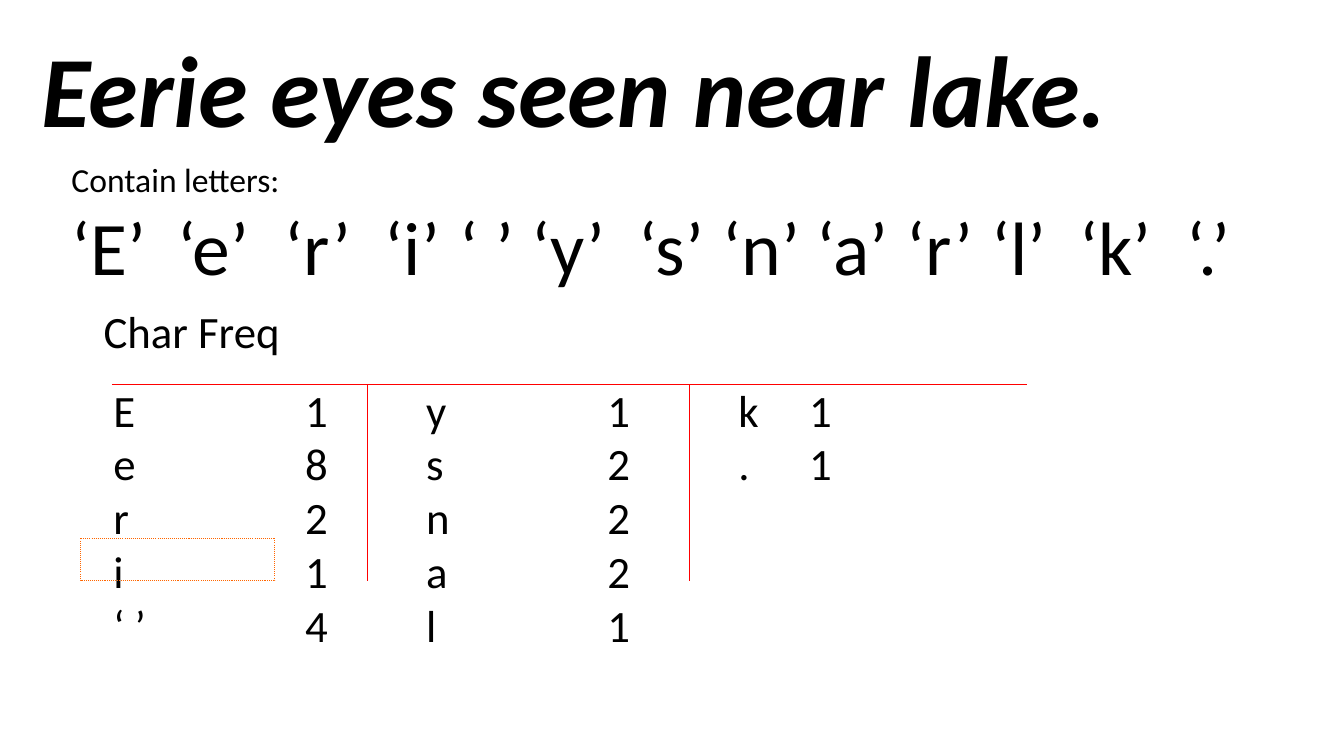
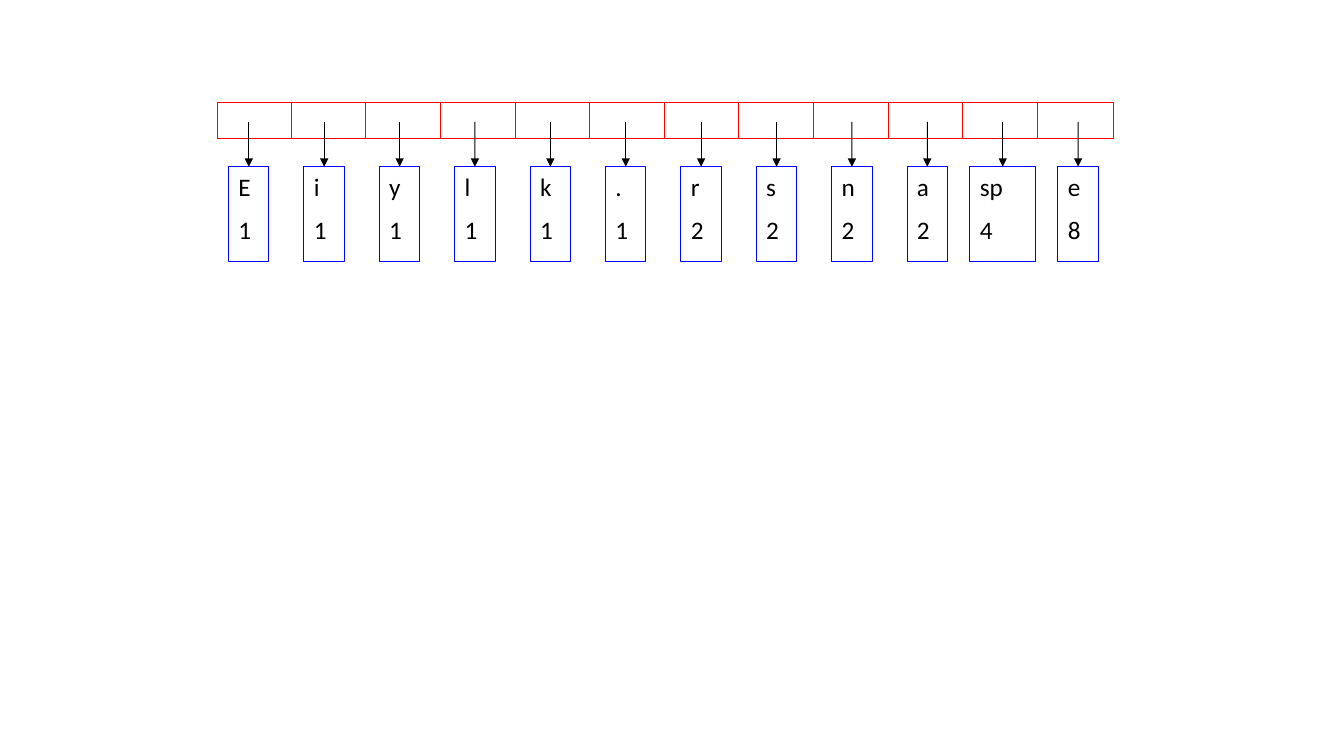
from itertools import zip_longest

from pptx import Presentation
from pptx import util as u
from pptx.dml.color import RGBColor
from pptx.enum import dml, shapes, text
from pptx.oxml import ns
from pptx.oxml.xmlchemy import OxmlElement

BLACK = RGBColor(0x00, 0x00, 0x00)
WHITE = RGBColor(0xFF, 0xFF, 0xFF)
RED = RGBColor(0xFF, 0x00, 0x00)
ORANGE = RGBColor(0xFF, 0x66, 0x00)
BLUE = RGBColor(0x00, 0x00, 0xFF)
FONT = "Calibri"

LETTERS = ["E", "e", "r", "i", " ", "y", "s", "n", "a", "r", "l", "k", "."]
LETTER_STOPS = [2.67, 5.37, 7.89, 9.78, 11.59, 14.29,
                16.41, 18.77, 21.04, 23.18, 25.4, 28.1]
FREQUENCY_COLUMNS = [
    [("E", 1), ("e", 8), ("r", 2), ("i", 1), ("‘ ’", 4)],
    [("y", 1), ("s", 2), ("n", 2), ("a", 2), ("l", 1)],
    [("k", 1), (".", 1)],
]
FREQUENCY_STOPS = [0.25, 5.08, 8.13, 12.7, 16, 17.78]
QUEUE = [("E", 1), ("i", 1), ("y", 1), ("l", 1), ("k", 1), (".", 1),
         ("r", 2), ("s", 2), ("n", 2), ("a", 2), ("sp", 4), ("e", 8)]


def write(frame, content, size=18, bold=False, italic=False, color=BLACK,
          line=None, before=None, after=None, stops=()):
    """Add one formatted paragraph; line and gaps in points, stops in cm."""
    para = frame.paragraphs[0]
    if para.runs:
        para = frame.add_paragraph()
    para.alignment = text.PP_ALIGN.LEFT
    if line is not None:
        para.line_spacing = u.Pt(line)
    if before is not None:
        para.space_before = u.Pt(before)
    if after is not None:
        para.space_after = u.Pt(after)
    if stops:
        tabs = OxmlElement("a:tabLst")
        for stop in stops:
            tab = OxmlElement("a:tab")
            tab.set("pos", str(int(u.Cm(stop))))
            tab.set("algn", "l")
            tabs.append(tab)
        para._p.get_or_add_pPr().append(tabs)
    span = para.add_run()
    span.text = content
    span.font.name = FONT
    span.font.size = u.Pt(size)
    span.font.bold = bold
    span.font.italic = italic
    span.font.color.rgb = color


class Sketch:
    """Holds the deck, its line style and the current page."""

    line_width = u.Pt(0.75)

    def __init__(self):
        self.deck = Presentation()
        self.deck.slide_width = u.Cm(33.87)
        self.deck.slide_height = u.Cm(19.05)
        self.page = None

    def new_page(self):
        self.page = self.deck.slides.add_slide(self.deck.slide_layouts[6])

    def text_box(self, left, top, width, height):
        box = self.page.shapes.add_textbox(
            u.Cm(left), u.Cm(top), u.Cm(width), u.Cm(height))
        box.text_frame.word_wrap = True
        return box.text_frame

    def rectangle(self, left, top, width, height, color, fill=None, dash=None):
        box = self.page.shapes.add_shape(
            shapes.MSO_SHAPE.RECTANGLE,
            u.Cm(left), u.Cm(top), u.Cm(width), u.Cm(height))
        box.shadow.inherit = False
        if fill is None:
            box.fill.background()
        else:
            box.fill.solid()
            box.fill.fore_color.rgb = fill
        box.line.color.rgb = color
        box.line.width = self.line_width
        if dash is not None:
            box.line.dash_style = dash
        box.text_frame.vertical_anchor = text.MSO_ANCHOR.TOP
        return box

    def line(self, x1, y1, x2, y2, color):
        line = self.page.shapes.add_connector(
            shapes.MSO_CONNECTOR.STRAIGHT,
            u.Cm(x1), u.Cm(y1), u.Cm(x2), u.Cm(y2))
        line.line.color.rgb = color
        line.line.width = self.line_width
        line._element.find(ns.qn("p:spPr")).append(OxmlElement("a:effectLst"))
        return line

    def arrow_down_to(self, box, x, top):
        arrow = self.line(x, top, x, box.top.cm, BLACK)
        arrow.end_connect(box, 0)
        head = OxmlElement("a:tailEnd")
        head.set("type", "triangle")
        arrow.line._get_or_add_ln().append(head)


def frequency_page(sketch):
    sketch.new_page()

    # Sentence and its letters
    write(sketch.text_box(0.79, 0.56, 30.12, 3.33),
          "Eerie eyes seen near lake.", size=72, bold=True, italic=True)
    letters = sketch.text_box(1.55, 3.89, 29.85, 3.58)
    write(letters, "Contain letters:", size=24)
    write(letters, "\t".join(f"‘{letter}’" for letter in LETTERS),
          size=54, stops=LETTER_STOPS)

    # Frequency list, three column pairs set by tab stops
    counts = sketch.text_box(2.36, 7.9, 24.51, 8.56)
    write(counts, "Char Freq", size=32, line=28, after=17.7)
    for row in zip_longest(*FREQUENCY_COLUMNS):
        cells = [f"\t{char}\t{count}" for char, count in filter(None, row)]
        write(counts, "".join(cells), size=32, line=38.4,
              stops=FREQUENCY_STOPS)

    # Rules and dotted marker
    rule_top = 9.7
    sketch.line(2.82, rule_top, 25.88, rule_top, RED)
    sketch.rectangle(2.03, 13.56, 4.9, 1.07, ORANGE,
                     dash=dml.MSO_LINE.ROUND_DOT)
    for x in (9.25, 17.37):
        sketch.line(x, rule_top, x, 14.63, RED)


def queue_page(sketch):
    sketch.new_page()

    # Queue strip with its dividers
    top, height = 2.59, 0.9
    sketch.rectangle(5.49, top, 22.58, height, RED, fill=WHITE)
    for index in range(len(QUEUE) - 1):
        x = 7.34 + 1.88 * index
        sketch.line(x, top, x, top + height, RED)

    # Nodes, each with an arrow from its cell
    for index, (char, count) in enumerate(QUEUE):
        center = 6.27 + 1.9 * index
        width = 1.65 if len(char) > 1 else 1.02
        node = sketch.rectangle(center - width / 2, 4.2, width, 2.4, BLUE)
        node.text_frame.word_wrap = True
        for content in (char, str(count)):
            write(node.text_frame, content, after=9)
        sketch.arrow_down_to(node, center, 3.07)


def main():
    sketch = Sketch()
    frequency_page(sketch)
    queue_page(sketch)
    sketch.deck.save("out.pptx")


if __name__ == "__main__":
    main()
